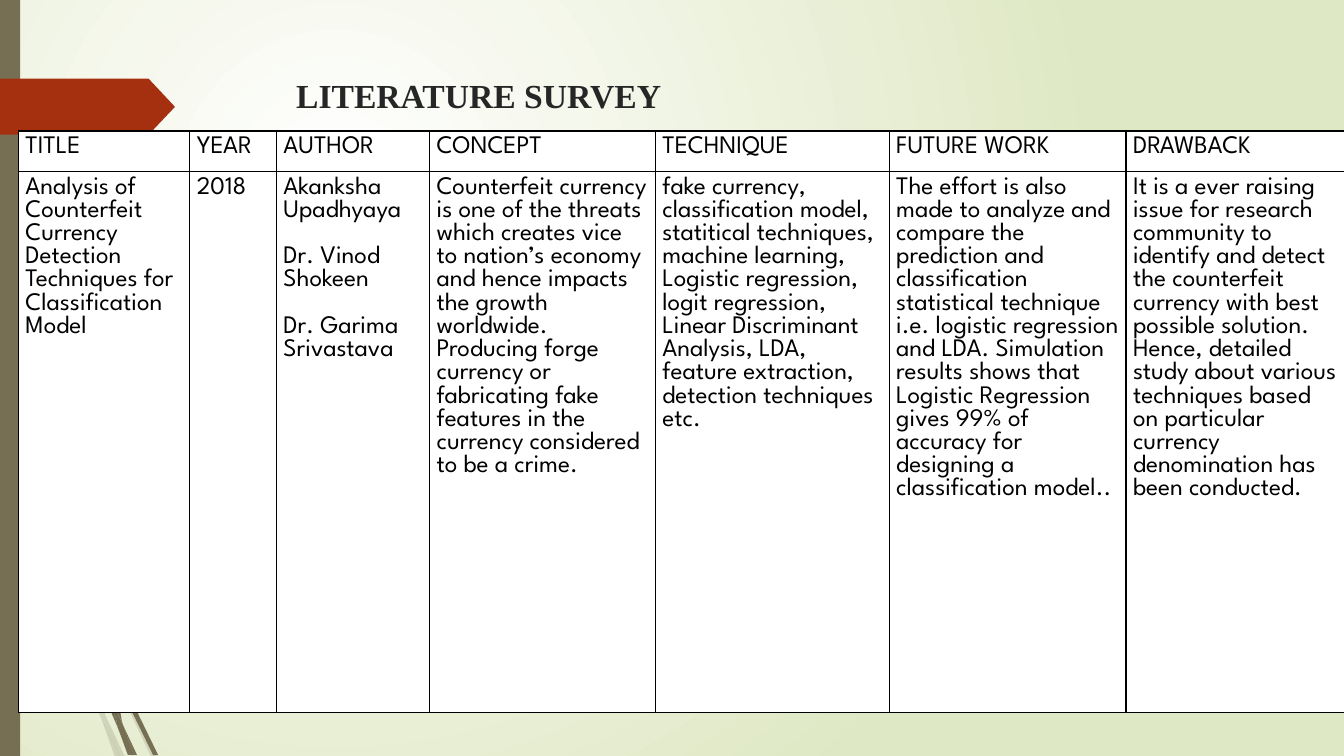
"""Build the literature survey slide."""
from lxml.etree import SubElement
from pptx import Presentation
from pptx.dml.color import RGBColor
from pptx.enum.shapes import MSO_SHAPE
from pptx.enum.text import MSO_ANCHOR
from pptx.oxml import parse_xml
from pptx.oxml.ns import nsdecls, qn
from pptx.util import Pt

TITLE = "LITERATURE SURVEY"
COLUMNS = [
    ("TITLE", 122.4, ["Analysis of Counterfeit Currency Detection Techniques for "
                      "Classification Model"]),
    ("YEAR", 61.9, ["2018"]),
    ("AUTHOR", 109.4, ["Akanksha Upadhyaya", "Dr. Vinod Shokeen", "Dr. Garima Srivastava"]),
    ("CONCEPT", 161.3, ["Counterfeit currency is one of the threats which creates vice to "
                        "nation’s economy and hence impacts the growth worldwide. Producing "
                        "forge currency or fabricating fake features in the currency "
                        "considered to be a crime."]),
    ("TECHNIQUE", 167, ["fake currency, classification model, statitical techniques, machine "
                        "learning, Logistic regression, logit regression, Linear Discriminant "
                        "Analysis, LDA, feature extraction, detection techniques etc."]),
    ("FUTURE WORK", 169.2, ["The effort is also made to analyze and compare the prediction and "
                            "classification statistical technique i.e. logistic regression and "
                            "LDA. Simulation results shows that Logistic Regression gives 99% "
                            "of accuracy for designing a classification model.."]),
    ("DRAWBACK", 156.2, ["It is a ever raising issue for research community to identify and "
                         "detect the counterfeit currency with best possible solution. Hence, "
                         "detailed study about various techniques based on particular currency "
                         "denomination has been conducted."]),
]
ROW_HEIGHTS = (26.6, 386.6)
TABLE_LEFT, TABLE_TOP = 13.2, 93.6
AUTHOR_GAP = 16.5

PALE_WISPS = [
    [(7.9, 252), (20.2, 338.4), (46.8, 447.1), (66.2, 499), (72.7, 514.1), (71.3, 509),
     (67, 491.8), (50.4, 445.7), (22.3, 337.7), (12.2, 270.7)],
    [(66.2, 437), (63.4, 429.1), (63.4, 439.2), (88.6, 499.7), (108, 540.7), (111.6, 540.7),
     (91.4, 498.2)],
    [(85.7, 540.7), (89.3, 540.7), (75.6, 511.9)],
    [(60.5, 431.3), (62.6, 465.1), (67, 491.8), (69.1, 498.2), (75.6, 511.9), (74.2, 508.3),
     (65.5, 465.1), (63.4, 439.2)],
    [(72.7, 514.1), (82.1, 540.7), (85.7, 540.7)],
    [(69.1, 498.2), (67, 491.8), (71.3, 509), (72.7, 514.1), (85.7, 540.7), (75.6, 511.9)],
]
DARK_WISPS = [
    [(81.4, 467.3), (79.2, 461.5), (79.9, 472.3), (95, 509.8), (109.4, 539.3), (113, 539.3),
     (97.9, 508.3)],
    [(41, 343.4), (49, 401), (67, 474.5), (79.9, 509.8), (84.2, 519.8), (83.5, 516.2),
     (79.2, 497.5), (70.6, 473), (51.8, 400.3), (46.1, 363.6)],
    [(95.8, 539.3), (97.9, 539.3), (87.8, 517.7)],
    [(84.2, 519.8), (91.4, 539.3), (94.3, 539.3)],
    [(76.3, 464.4), (79.2, 497.5), (83.5, 508.3), (87.8, 517.7), (87.1, 515.5), (79.9, 472.3)],
    [(83.5, 508.3), (79.2, 497.5), (83.5, 516.2), (84.2, 519.8), (93.6, 539.3),
     (95.8, 539.3), (87.8, 517.7)],
]
ARROW = [(0, 56.2), (106.2, 56.2), (125, 76.3), (106.2, 96.2), (0, 96.2)]

WHITE = RGBColor(0xFF, 0xFF, 0xFF)
BLACK = RGBColor(0, 0, 0)
PALE_GREEN = RGBColor(0xDF, 0xE8, 0xC4)
OLIVE = RGBColor(0x76, 0x6F, 0x54)
RUST = RGBColor(0xA5, 0x30, 0x10)
CHARCOAL = RGBColor(0x26, 0x26, 0x26)
TITLE_FONT = {"name": "Times New Roman", "size": Pt(24), "bold": True}
CELL_FONT = {"name": "League Spartan", "size": Pt(18), "bold": False}
CELL_MARGINS = {"margin_left": Pt(5), "margin_right": Pt(5),
                "margin_top": Pt(3.6), "margin_bottom": Pt(3.6)}


def apply(target, values):
    for name, value in values.items():
        setattr(target, name, value)


def write(paragraph, text, font, color):
    run = paragraph.add_run()
    run.text = text
    apply(run.font, font)
    run.font.color.rgb = color


def paint(shape, color, opacity=100):
    shape.shadow.inherit = False
    shape.fill.solid()
    shape.fill.fore_color.rgb = color
    shape.line.fill.background()
    if opacity < 100:
        tint = shape.element.spPr.find(qn("a:solidFill"))[0]
        SubElement(tint, qn("a:alpha"), val=str(opacity * 1000))


def add_outline(slide, points, color, opacity=100):
    corners = [(Pt(x), Pt(y)) for x, y in points]
    builder = slide.shapes.build_freeform(*corners[0])
    builder.add_line_segments(corners[1:], close=True)
    paint(builder.convert_to_shape(), color, opacity)


def set_background(slide):
    fill = slide.background.fill
    fill.gradient()
    for stop, color in zip(fill.gradient_stops, (WHITE, PALE_GREEN)):
        stop.color.rgb = color
    gradient = next(slide.element.iter(qn("a:gradFill")))
    gradient.replace(gradient.find(qn("a:lin")), parse_xml(
        f'<a:path {nsdecls("a")} path="circle">'
        '<a:fillToRect l="50000" t="50000" r="100000" b="100000"/></a:path>'))


def add_borders(cell):
    properties = cell._tc.get_or_add_tcPr()
    for index, side in enumerate(("lnL", "lnR", "lnT", "lnB")):
        properties.insert(index, parse_xml(
            f'<a:{side} {nsdecls("a")} w="{Pt(1)}"><a:solidFill>'
            f'<a:srgbClr val="{BLACK}"/></a:solidFill></a:{side}>'))


def fill_cell(cell, lines):
    apply(cell, CELL_MARGINS)
    cell.fill.solid()
    cell.fill.fore_color.rgb = WHITE
    add_borders(cell)
    frame = cell.text_frame
    for index, line in enumerate(lines):
        paragraph = frame.add_paragraph() if index else frame.paragraphs[0]
        paragraph.space_before = Pt(AUTHOR_GAP if index else 0)
        write(paragraph, line, CELL_FONT, BLACK)


def add_survey_table(slide):
    width = sum(column[1] for column in COLUMNS)
    table = slide.shapes.add_table(len(ROW_HEIGHTS), len(COLUMNS), Pt(TABLE_LEFT),
                                   Pt(TABLE_TOP), Pt(width), Pt(sum(ROW_HEIGHTS))).table
    apply(table, {"first_row": False, "horz_banding": False})
    for row, height in zip(table.rows, ROW_HEIGHTS):
        row.height = Pt(height)
    for index, (heading, column_width, lines) in enumerate(COLUMNS):
        table.columns[index].width = Pt(column_width)
        fill_cell(table.cell(0, index), [heading])
        fill_cell(table.cell(1, index), lines)


def main():
    presentation = Presentation()
    apply(presentation, {"slide_width": Pt(960), "slide_height": Pt(540)})
    slide = presentation.slides.add_slide(presentation.slide_layouts[6])
    set_background(slide)
    for wisps, opacity in ((PALE_WISPS, 20), (DARK_WISPS, 100)):
        for points in wisps:
            add_outline(slide, points, OLIVE, opacity)
    bar = slide.shapes.add_shape(MSO_SHAPE.RECTANGLE, 0, 0, Pt(14.4), Pt(540))
    paint(bar, OLIVE)
    add_outline(slide, ARROW, RUST)
    title = slide.shapes.add_textbox(Pt(204.5), Pt(49), Pt(702), Pt(37.4)).text_frame
    apply(title, {"word_wrap": True, "vertical_anchor": MSO_ANCHOR.MIDDLE})
    write(title.paragraphs[0], TITLE, TITLE_FONT, CHARCOAL)
    add_survey_table(slide)
    presentation.save("out.pptx")


if __name__ == "__main__":
    main()
